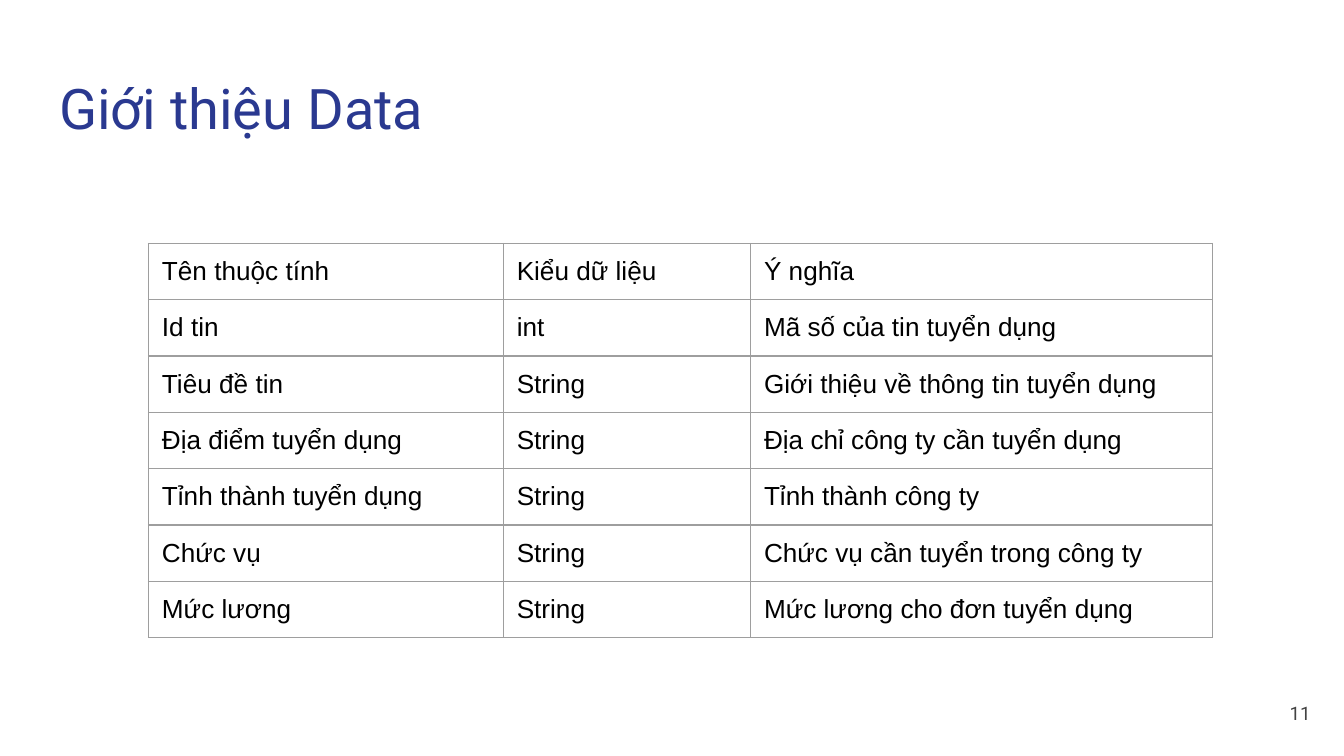
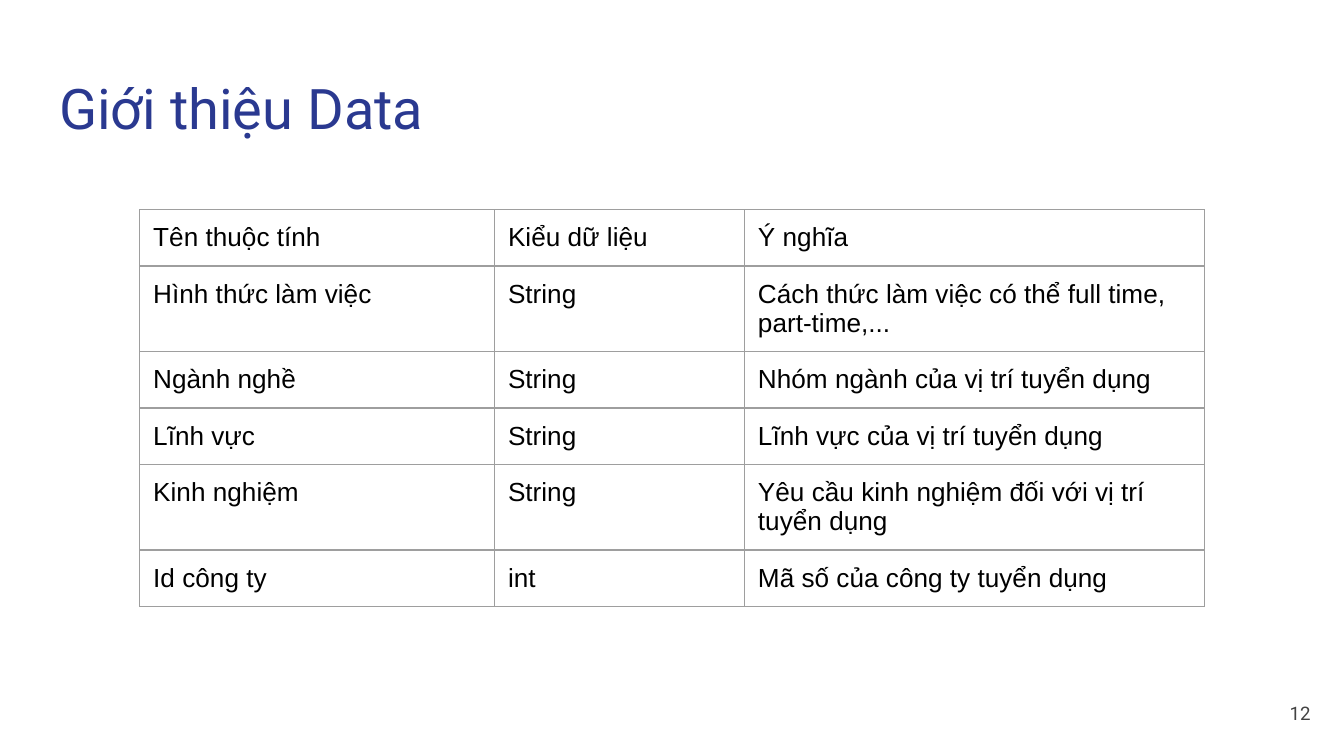
from dataclasses import dataclass

from lxml.etree import SubElement
from pptx import Presentation
from pptx.dml.color import RGBColor
from pptx.enum.text import MSO_ANCHOR, MSO_AUTO_SIZE, PP_ALIGN
from pptx.oxml.ns import qn
from pptx.presentation import Presentation as Deck
from pptx.slide import Slide
from pptx.table import _Cell as Cell
from pptx.text.text import TextFrame, _Paragraph as Paragraph
from pptx.util import Inches, Length, Pt

SLIDE_WIDTH = Inches(10)
SLIDE_HEIGHT = Length(SLIDE_WIDTH * 9 // 16)
TITLE_ONLY_LAYOUT = 5


@dataclass(frozen=True)
class TextStyle:
    font: str
    size: float
    color: str


@dataclass(frozen=True)
class Theme:
    title: TextStyle = TextStyle("Roboto", 30, "2A3990")
    body: TextStyle = TextStyle("Arial", 14, "000000")
    number: TextStyle = TextStyle("Roboto", 10, "434343")
    background: str = "FFFFFF"
    border: str = "9E9E9E"
    border_width: Length = Pt(0.75)
    inset: Length = Inches(0.1)


@dataclass(frozen=True)
class Region:
    """A rectangle in percent of the slide's width and height."""

    left: float
    top: float
    width: float
    height: float

    def lengths(self) -> tuple[Length, Length, Length, Length]:
        return (across(self.left), down(self.top),
                across(self.width), down(self.height))


@dataclass(frozen=True)
class AttributeSlide:
    number: int
    left: float
    top: float
    columns: tuple[float, ...]
    attributes: tuple[tuple[str, str, str], ...]


THEME = Theme()
TITLE = "Giới thiệu Data"
HEADER = ("Tên thuộc tính", "Kiểu dữ liệu", "Ý nghĩa")
TITLE_REGION = Region(3.4, 8, 93.2, 11.73)
NUMBER_REGION = Region(92.5, 90.5, 6, 7.65)
ROW_HEIGHT = 7.41

SLIDES = (
    AttributeSlide(11, 11.05, 32.2, (26.4, 18.4, 34.4), (
        ("Id tin", "int", "Mã số của tin tuyển dụng"),
        ("Tiêu đề tin", "String", "Giới thiệu về thông tin tuyển dụng"),
        ("Địa điểm tuyển dụng", "String", "Địa chỉ công ty cần tuyển dụng"),
        ("Tỉnh thành tuyển dụng", "String", "Tỉnh thành công ty"),
        ("Chức vụ", "String", "Chức vụ cần tuyển trong công ty"),
        ("Mức lương", "String", "Mức lương cho đơn tuyển dụng"),
    )),
    AttributeSlide(12, 10.4, 27.75, (26.4, 18.6, 34.2), (
        ("Hình thức làm việc", "String",
         "Cách thức làm việc có thể full time, part-time,..."),
        ("Ngành nghề", "String", "Nhóm ngành của vị trí tuyển dụng"),
        ("Lĩnh vực", "String", "Lĩnh vực của vị trí tuyển dụng"),
        ("Kinh nghiệm", "String",
         "Yêu cầu kinh nghiệm đối với vị trí tuyển dụng"),
        ("Id công ty", "int", "Mã số của công ty tuyển dụng"),
    )),
)


def across(percent: float) -> Length:
    return Length(round(SLIDE_WIDTH * percent / 100))


def down(percent: float) -> Length:
    return Length(round(SLIDE_HEIGHT * percent / 100))


def set_insets(holder: TextFrame | Cell) -> None:
    holder.margin_left = holder.margin_right = THEME.inset
    holder.margin_top = holder.margin_bottom = THEME.inset


def style_paragraph(para: Paragraph, style: TextStyle, align: PP_ALIGN) -> None:
    para.alignment = align
    for span in para.runs:
        span.font.name = style.font
        span.font.size = Pt(style.size)
        span.font.color.rgb = RGBColor.from_string(style.color)


def fill_frame(frame: TextFrame, text: str, style: TextStyle,
               anchor: MSO_ANCHOR, align: PP_ALIGN) -> None:
    frame.text = text
    frame.word_wrap = True
    frame.auto_size = MSO_AUTO_SIZE.NONE
    frame.vertical_anchor = anchor
    set_insets(frame)
    style_paragraph(frame.paragraphs[0], style, align)


def add_title(slide: Slide) -> None:
    title = slide.shapes.title
    title.left, title.top, title.width, title.height = TITLE_REGION.lengths()
    fill_frame(title.text_frame, TITLE, THEME.title,
               MSO_ANCHOR.TOP, PP_ALIGN.LEFT)


def add_page_number(slide: Slide, number: int) -> None:
    box = slide.shapes.add_textbox(*NUMBER_REGION.lengths())
    fill_frame(box.text_frame, str(number), THEME.number,
               MSO_ANCHOR.MIDDLE, PP_ALIGN.RIGHT)


def outline_cell(cell: Cell) -> None:
    """Border all four sides; lines must precede the fill in the cell's XML."""
    properties = cell._tc.get_or_add_tcPr()
    for side in ("a:lnL", "a:lnR", "a:lnT", "a:lnB"):
        line = SubElement(properties, qn(side), w=str(THEME.border_width))
        fill = SubElement(line, qn("a:solidFill"))
        SubElement(fill, qn("a:srgbClr"), val=THEME.border)


def add_attribute_table(slide: Slide, content: AttributeSlide) -> None:
    rows = (HEADER, *content.attributes)
    region = Region(content.left, content.top,
                    sum(content.columns), ROW_HEIGHT * len(rows))
    table = slide.shapes.add_table(
        len(rows), len(HEADER), *region.lengths()).table
    table.first_row = table.horz_banding = False
    for column, width in zip(table.columns, content.columns):
        column.width = across(width)
    for row, texts in zip(table.rows, rows):
        row.height = down(ROW_HEIGHT)
        for cell, text in zip(row.cells, texts):
            cell.text = text
            set_insets(cell)
            style_paragraph(cell.text_frame.paragraphs[0],
                            THEME.body, PP_ALIGN.LEFT)
            outline_cell(cell)
            cell.fill.background()


def add_attribute_slide(deck: Deck, content: AttributeSlide) -> None:
    slide = deck.slides.add_slide(deck.slide_layouts[TITLE_ONLY_LAYOUT])
    slide.background.fill.solid()
    slide.background.fill.fore_color.rgb = RGBColor.from_string(THEME.background)
    add_title(slide)
    add_attribute_table(slide, content)
    add_page_number(slide, content.number)


def main() -> None:
    deck = Presentation()
    deck.slide_width = SLIDE_WIDTH
    deck.slide_height = SLIDE_HEIGHT
    for content in SLIDES:
        add_attribute_slide(deck, content)
    deck.save("out.pptx")


if __name__ == "__main__":
    main()
